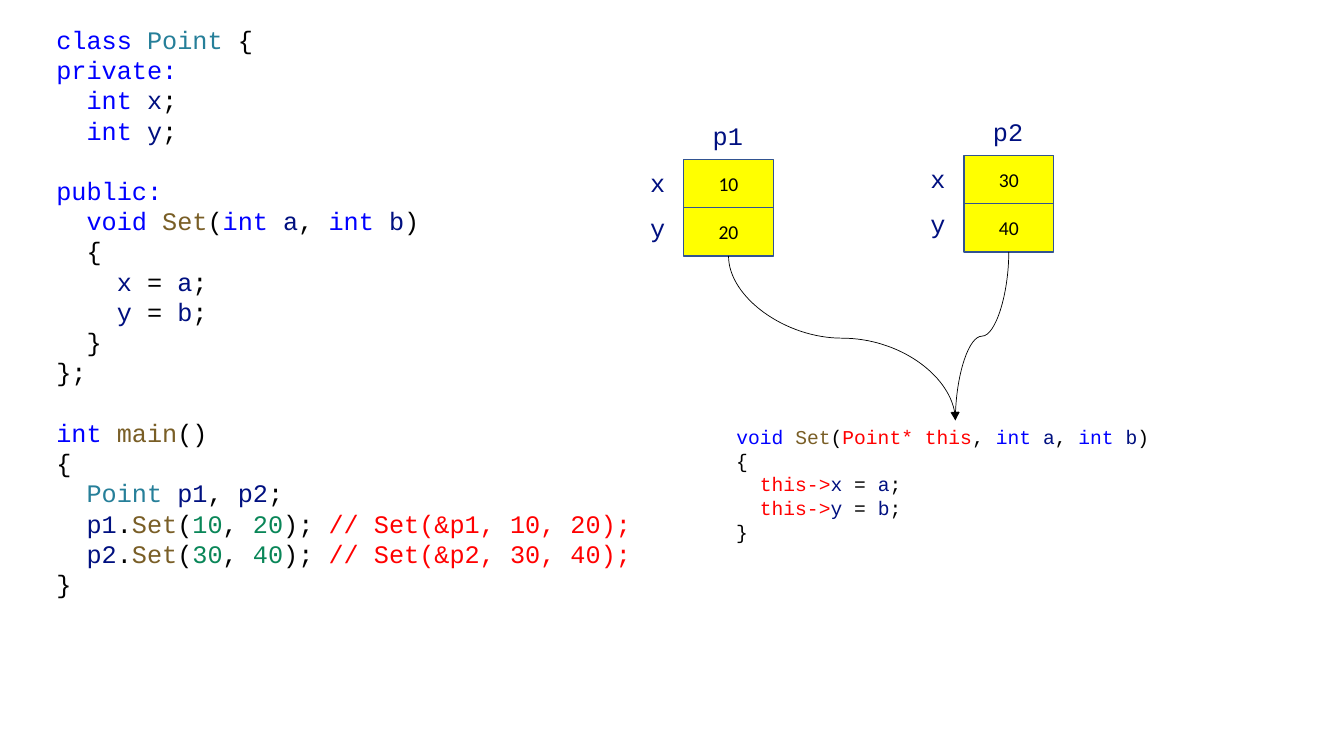
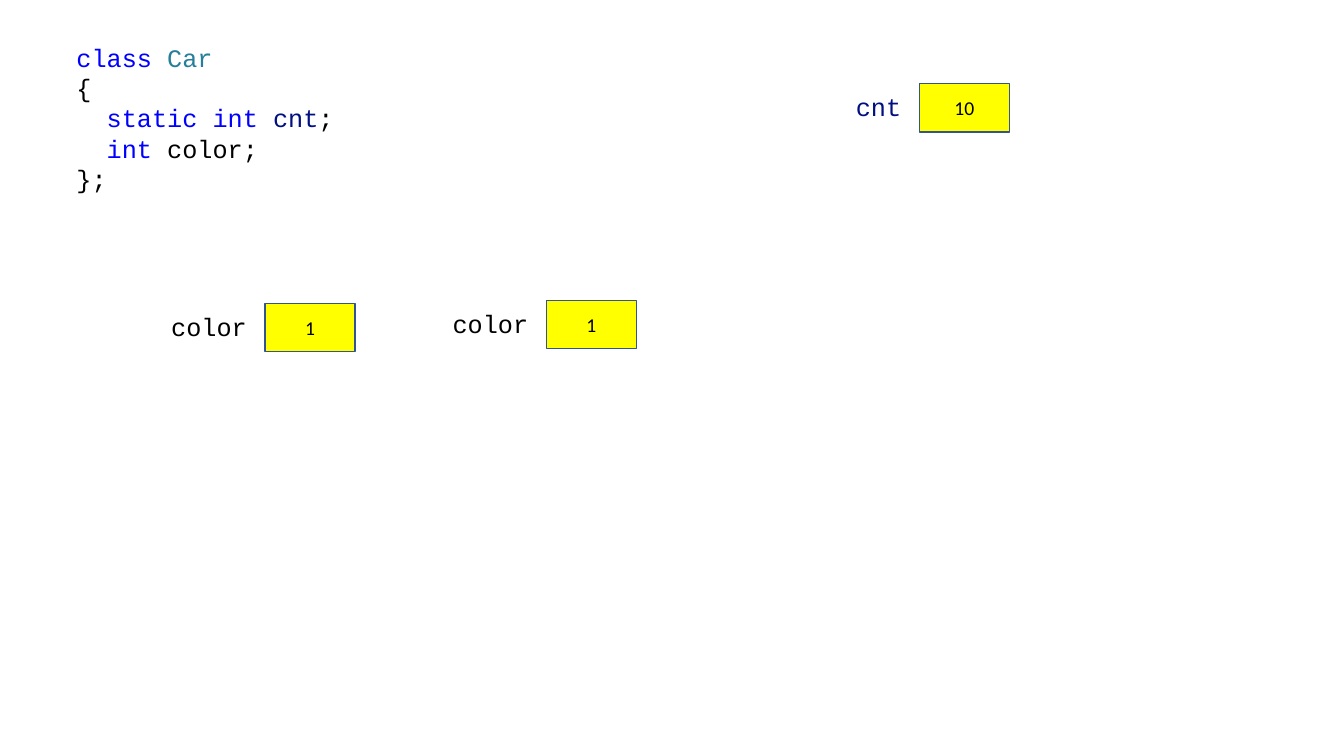
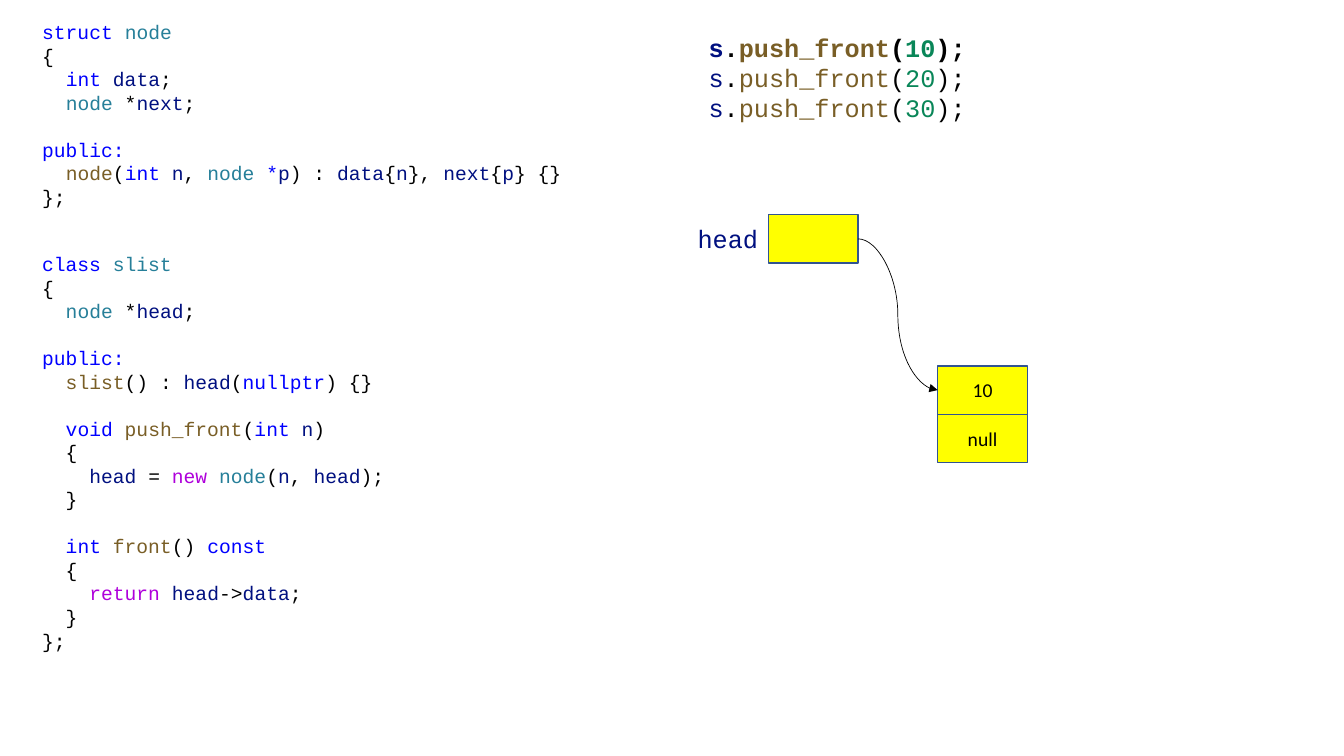
from dataclasses import dataclass, field

from lxml.etree import SubElement
from pptx import Presentation
from pptx.dml.color import RGBColor
from pptx.enum.shapes import MSO_CONNECTOR, MSO_SHAPE
from pptx.enum.text import MSO_ANCHOR, PP_ALIGN
from pptx.oxml.ns import qn
from pptx.util import Pt


@dataclass(frozen=True)
class Theme:
    mono: str = "Courier New"
    sans: str = "Calibri"
    large: int = 18
    small: int = 14
    ink: str = "000000"
    fill: str = "FFFF00"
    edge: str = "325491"
    leading: float = 1.2
    tags: dict = field(default_factory=lambda: {
        "k": "0000FF",
        "t": "267F99",
        "v": "001080",
        "f": "795E26",
        "n": "098658",
        "c": "AF00DB",
        "r": "FF0000",
    })


THEME = Theme()
CELL_W, CELL_H = 89, 48
TOP, LEFT, BOTTOM, RIGHT = 0, 1, 2, 3

POINT = """k[class ]t[Point] {
k[private:]
  k[int ]v[x];
  k[int ]v[y];

k[public:]
  k[void ]f[Set](k[int ]v[a], k[int ]v[b])
  {
    v[x] = v[a];
    v[y] = v[b];
  }
};

k[int ]f[main]()
{
  t[Point ]v[p1], v[p2];
  v[p1].f[Set](n[10], n[20]); r[// Set(&p1, 10, 20);]
  v[p2].f[Set](n[30], n[40]); r[// Set(&p2, 30, 40);]
}"""

METHOD = """  k[void ]f[Set](r[Point* this], k[int ]v[a], k[int ]v[b])
  {
    r[this->]v[x] = v[a];
    r[this->]v[y] = v[b];
  }"""

CAR = """k[class ]t[Car]
{
  k[static int ]v[cnt];
  k[int] color;
};"""

NODE = """k[struct ]t[node]
{
  k[int ]v[data];
  t[node] *v[next];

k[public:]
  f[node](k[int ]v[n], t[node ]k[*]v[p]) : v[data]{v[n]}, v[next]{v[p]} {}
};"""

SLIST = """k[class ]t[slist]
{
  t[node] *v[head];

k[public:]
  f[slist]() : v[head](k[nullptr]) {}

  k[void ]f[push_front](k[int ]v[n])
  {
    v[head] = c[new ]t[node](v[n], v[head]);
  }

  k[int ]f[front]() k[const]
  {
    c[return ]v[head]->v[data];
  }
};"""

CALLS = "\n".join(f"v[s].f[push_front](n[{num}]);" for num in (10, 20, 30))


def px(num):
    return num * 9144


def rgb(code):
    return RGBColor.from_string(code)


def add_run(para, text, color):
    if text:
        run = para.add_run()
        run.text = text
        run.font.color.rgb = rgb(color)


def add_line(para, line):
    for part in line.split("]"):
        plain, mark, word = part.partition("[")
        tag = plain[-1:]
        add_run(para, plain[:-1] if mark else plain, THEME.ink)
        if mark:
            add_run(para, word, THEME.tags[tag])


def add_code(slide, text, left, top, width, height, size=THEME.large, wrap=True):
    box = slide.shapes.add_textbox(px(left), px(top), px(width), px(height))
    frame = box.text_frame
    frame.word_wrap = wrap
    para, gap = frame.paragraphs[0], False
    for row, line in enumerate(text.split("\n")):
        if not line:
            gap = True
            continue
        if row:
            para = frame.add_paragraph()
        if gap:
            para.space_before = Pt(size * THEME.leading)
            gap = False
        para.font.name = THEME.mono
        para.font.size = Pt(size)
        add_line(para, line)
    return box


def add_label(slide, text, left, top, tag="v"):
    mark = f"{tag}[{text}]" if tag else text
    add_code(slide, mark, left, top, 20 + 15 * len(text), 40, wrap=False)


def add_cell(slide, left, top, text=""):
    cell = slide.shapes.add_shape(
        MSO_SHAPE.RECTANGLE, px(left), px(top), px(CELL_W), px(CELL_H))
    cell.shadow.inherit = False
    cell.fill.solid()
    cell.fill.fore_color.rgb = rgb(THEME.fill)
    cell.line.color.rgb = rgb(THEME.edge)
    cell.line.width = Pt(1)
    if text:
        cell.text_frame.vertical_anchor = MSO_ANCHOR.MIDDLE
        para = cell.text_frame.paragraphs[0]
        para.text = text
        para.alignment = PP_ALIGN.CENTER
        para.font.name = THEME.sans
        para.font.size = Pt(THEME.small)
        para.font.color.rgb = rgb(THEME.ink)
    return cell


def add_stack(slide, left, top, texts):
    return [add_cell(slide, left, top + row * CELL_H, text)
            for row, text in enumerate(texts)]


def add_point(slide, name, left, top, texts):
    cells = add_stack(slide, left, top, texts)
    add_label(slide, name, left + 19, top - 44)
    for row, text in enumerate("xy"):
        add_label(slide, text, left - 43, top + 3 + 45 * row)
    return cells[-1]


def add_curve(slide, start, out, end, into):
    line = slide.shapes.add_connector(MSO_CONNECTOR.CURVE, 0, 0, 0, 0)
    line.begin_connect(start, out)
    line.end_connect(end, into)
    line.line.color.rgb = rgb(THEME.ink)
    line.line.width = Pt(0.5)
    props = line._element.spPr
    SubElement(props.find(qn("a:ln")), qn("a:tailEnd"), type="triangle")
    SubElement(props, qn("a:effectLst"))
    if out == BOTTOM:
        turn_down(line, props.xfrm)


def turn_down(line, xfrm):
    right = line.end_x > line.begin_x
    mid_x = (line.begin_x + line.end_x) // 2
    mid_y = (line.begin_y + line.end_y) // 2
    wide, high = line.height, line.width
    line.left, line.top = mid_x - wide // 2, mid_y - high // 2
    line.width, line.height = wide, high
    xfrm.flipH, xfrm.flipV = right, False
    xfrm.rot = 270 if right else 90


def draw_point(slide):
    add_code(slide, POINT, 46, 19, 621, 586)
    first = add_point(slide, "p1", 678, 158, ("10", "20"))
    second = add_point(slide, "p2", 956, 154, ("30", "40"))
    method = add_code(slide, METHOD, 697, 417, 501, 128, THEME.small)
    for cell in (first, second):
        add_curve(slide, cell, BOTTOM, method, TOP)


def draw_car(slide):
    add_code(slide, CAR, 66, 37, 667, 162)
    add_cell(slide, 912, 83, "10")
    add_label(slide, "cnt", 839, 86)
    for left, top in ((263, 301), (542, 298)):
        add_cell(slide, left, top, "1")
        add_label(slide, "color", left - 103, top + 3, tag="")


def draw_list(slide):
    add_code(slide, NODE, 32, 15, 698, 246, THEME.small)
    add_code(slide, SLIST, 32, 245, 463, 411, THEME.small)
    calls = add_code(slide, CALLS, 693, 27, 667, 101)
    calls.text_frame.paragraphs[0].font.bold = True
    head = add_cell(slide, 762, 213)
    add_label(slide, "head", 682, 217)
    node = add_stack(slide, 930, 363, ("10", "null"))
    add_curve(slide, head, RIGHT, node[0], LEFT)


def main():
    deck = Presentation()
    deck.slide_width, deck.slide_height = px(1333), px(750)
    for draw in (draw_point, draw_car, draw_list):
        draw(deck.slides.add_slide(deck.slide_layouts[6]))
    deck.save("out.pptx")


if __name__ == "__main__":
    main()
